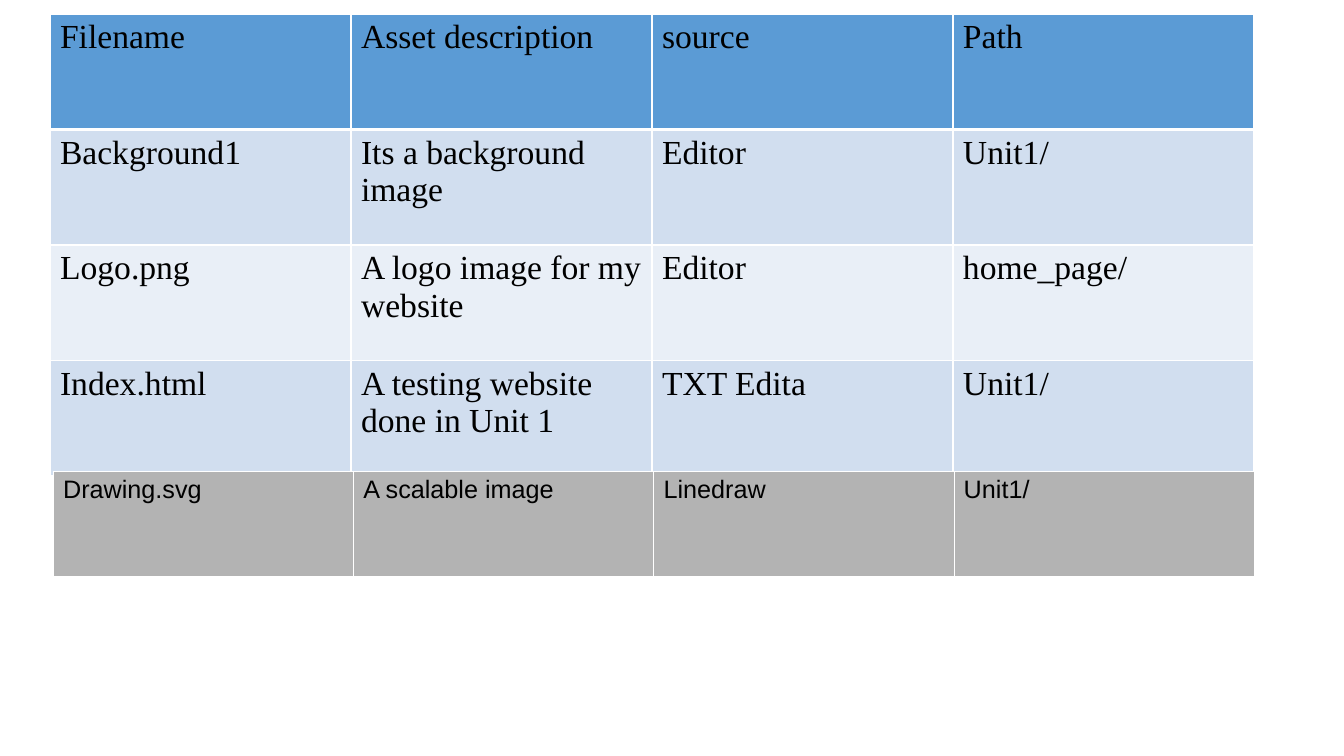
from lxml import etree
from pptx import Presentation
from pptx import util as u
from pptx.dml.color import RGBColor
from pptx.oxml import ns

SCALE = 12192000 / 1344
HEADER, BAND_DARK, BAND_LIGHT, GREY = "5B9BD5", "D1DEEF", "E9EFF7", "B3B3B3"
ASSETS = [
    ["Filename", "Asset description", "source", "Path "],
    ["Background1", "Its a background image", "Editor", "Unit1/"],
    ["Logo.png", "A logo image for my \nwebsite", "Editor ", "home_page/"],
    ["Index.html", "A testing website\vdone in Unit 1", "TXT Edita", "Unit1/"],
]
EXTRA_ASSET = [["Drawing.svg", "A scalable image ", "Linedraw ", "Unit1/"]]


def px(length):
    """Turn pixels into EMU."""
    return u.Emu(round(length * SCALE))


def rgb(value):
    """Turn a hex string into a colour."""
    return RGBColor.from_string(value)


def add_border(cell, side, points):
    """Draw one white edge of a cell."""
    edge = etree.SubElement(cell._tc.get_or_add_tcPr(), ns.qn(f"a:ln{side}"),
                            w=str(u.Pt(points)))
    fill = etree.SubElement(edge, ns.qn("a:solidFill"))
    etree.SubElement(fill, ns.qn("a:srgbClr"), val="FFFFFF")


def fill_cell(cell, words, colour, font, size, borders):
    """Write and style one cell."""
    for side, points in borders.items():
        add_border(cell, side, points)
    cell.fill.solid()
    cell.fill.fore_color.rgb = rgb(colour)
    cell.text_frame.text = words
    for paragraph in cell.text_frame.paragraphs:
        for run in paragraph.runs:
            run.font.name = font
            run.font.size = u.Pt(size)
            run.font.color.rgb = rgb("000000")


def add_asset_table(slide, box, entries, colours, font, size, line, header_line):
    """Place an equal-column table in a box, with a rule under its first row."""
    left, top, width, height = box
    columns = len(entries[0])
    table = slide.shapes.add_table(len(entries), columns, *map(px, box)).table
    for column in table.columns:
        column.width = px(width / columns)
    for index, (entry, colour) in enumerate(zip(entries, colours)):
        table.rows[index].height = px(height / len(entries))
        borders = {"L": line, "R": line,
                   "T": header_line if index == 1 else line,
                   "B": header_line if index == 0 else line}
        for cell, words in zip(table.rows[index].cells, entry):
            fill_cell(cell, words, colour, font, size, borders)


def build_asset_slide(deck):
    """Build the slide that lists the website assets."""
    slide = deck.slides.add_slide(deck.slide_layouts[6])
    add_asset_table(slide, (50, 14, 1204, 462), ASSETS,
                    [HEADER, BAND_DARK, BAND_LIGHT, BAND_DARK],
                    "Times New Roman", 24, 0.96, 3)
    add_asset_table(slide, (53, 471, 1201, 105), EXTRA_ASSET, [GREY],
                    "Arial", 18, 0.06, 0.06)


deck = Presentation()
deck.slide_width, deck.slide_height = px(1344), px(756)
build_asset_slide(deck)
deck.save("out.pptx")
